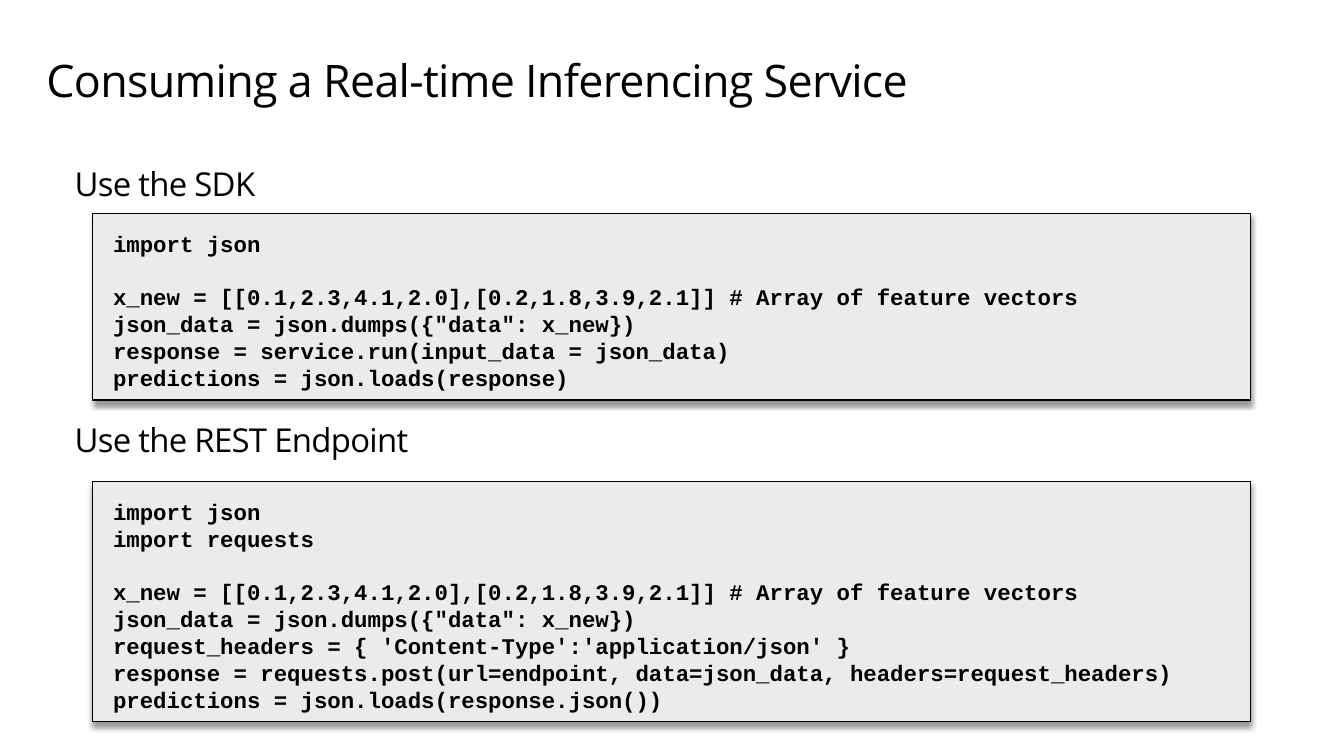
from lxml.etree import SubElement
from pptx import Presentation
from pptx.dml.color import RGBColor as RGB
from pptx.enum.shapes import MSO_SHAPE as SHAPE
from pptx.enum.text import MSO_ANCHOR as ANCHOR, PP_ALIGN as ALIGN
from pptx.oxml.ns import qn
from pptx.util import Cm, Pt

COLORS = {"text": "000000", "panel": "EBEBEB", "border": "000000", "shadow": "000000"}
PANEL_LEFT, PANEL_WIDTH = 2.34, 29.18

SDK_CODE = """import json

x_new = [[0.1,2.3,4.1,2.0],[0.2,1.8,3.9,2.1]] # Array of feature vectors
json_data = json.dumps({"data": x_new})
response = service.run(input_data = json_data)
predictions = json.loads(response)"""

REST_CODE = """import json
import requests

x_new = [[0.1,2.3,4.1,2.0],[0.2,1.8,3.9,2.1]] # Array of feature vectors
json_data = json.dumps({"data": x_new})
request_headers = { 'Content-Type':'application/json' }
response = requests.post(url=endpoint, data=json_data, headers=request_headers)
predictions = json.loads(response.json())"""


def set_frame(tf, left, top, right, bottom):
    tf.word_wrap = True
    tf.vertical_anchor = ANCHOR.TOP
    tf.margin_left, tf.margin_top = Cm(left), Cm(top)
    tf.margin_right, tf.margin_bottom = Cm(right), Cm(bottom)


def write(tf, text, size, font="Open Sans", bold=False, spc=0,
          before=0, after=0, spacing=None):
    p = tf.paragraphs[0]
    if p.runs:
        p = tf.add_paragraph()
    p.alignment = ALIGN.LEFT
    p.space_before, p.space_after = Pt(before), Pt(after)
    p.line_spacing = spacing
    r = p.add_run()
    r.text = text
    r.font.name, r.font.size, r.font.bold = font, Pt(size), bold
    r.font.color.rgb = RGB.from_string(COLORS["text"])
    if spc:
        r._r.get_or_add_rPr().set("spc", str(spc))


def add_shadow(sp, color, alpha, blur, dist, angle):
    sp.shadow.inherit = False
    effects = sp._element.spPr.find(qn("a:effectLst"))
    shadow = SubElement(effects, qn("a:outerShdw"), blurRad=str(Pt(blur)),
                        dist=str(Pt(dist)), dir=str(angle * 60000),
                        algn="t", rotWithShape="0")
    clr = SubElement(shadow, qn("a:srgbClr"), val=color)
    SubElement(clr, qn("a:alpha"), val=str(alpha * 1000))


def add_title(slide, text, x, y, w, h):
    tf = slide.shapes.add_textbox(Cm(x), Cm(y), Cm(w), Cm(h)).text_frame
    set_frame(tf, 0, 0.25, 0.41, 0.25)
    write(tf, text, 32, spc=-50, spacing=0.9)


def add_headings(slide, headings, x, y, w, h, gap):
    tf = slide.shapes.add_textbox(Cm(x), Cm(y), Cm(w), Cm(h)).text_frame
    set_frame(tf, 0.25, 0.13, 0.25, 0.13)
    for i, heading in enumerate(headings):
        write(tf, heading, 23.5, spc=-50, before=gap if i else 2, after=4)


def add_code(slide, code, x, y, w, h, pitch=19.2):
    sp = slide.shapes.add_shape(SHAPE.RECTANGLE, Cm(x), Cm(y), Cm(w), Cm(h))
    sp.fill.solid()
    sp.fill.fore_color.rgb = RGB.from_string(COLORS["panel"])
    sp.line.color.rgb = RGB.from_string(COLORS["border"])
    sp.line.width = Pt(0.85)
    add_shadow(sp, COLORS["shadow"], alpha=40, blur=4, dist=3, angle=90)
    set_frame(sp.text_frame, 0.51, 0.41, 0.51, 0.2)
    for i, block in enumerate(code.split("\n\n")):
        for j, line in enumerate(block.split("\n")):
            write(sp.text_frame, line, 16, font="Courier New", bold=True,
                  before=pitch if i and not j else 0, spacing=Pt(pitch))


def main():
    prs = Presentation()
    prs.slide_width, prs.slide_height = Cm(33.87), Cm(19.05)
    slide = prs.slides.add_slide(prs.slide_layouts[6])
    add_title(slide, "Consuming a Real-time Inferencing Service", 1.17, 1.22, 31.5, 1.88)
    add_headings(slide, ["Use the SDK", "Use the REST Endpoint"],
                 1.63, 3.99, 30.6, 7.9, gap=150.5)
    add_code(slide, SDK_CODE, PANEL_LEFT, 5.38, PANEL_WIDTH, 4.7)
    add_code(slide, REST_CODE, PANEL_LEFT, 12.14, PANEL_WIDTH, 6.05)
    prs.save("out.pptx")


if __name__ == "__main__":
    main()
